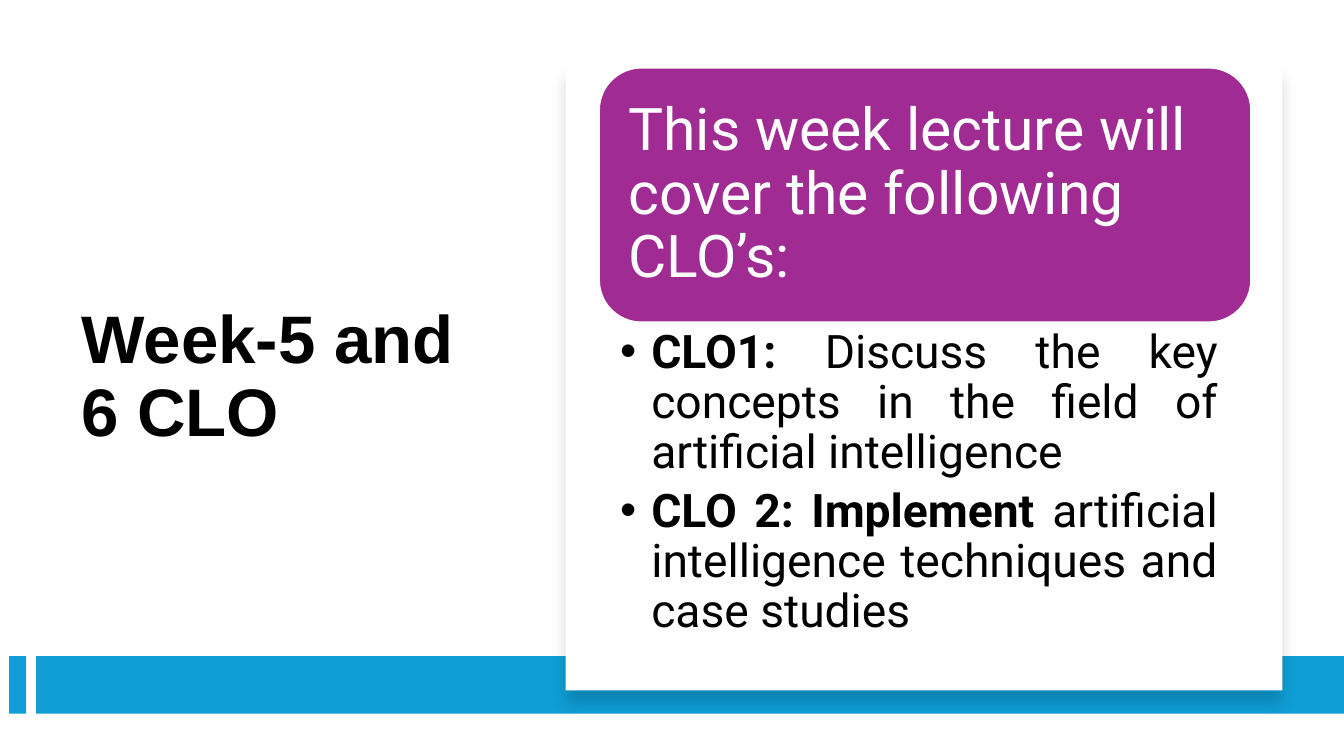
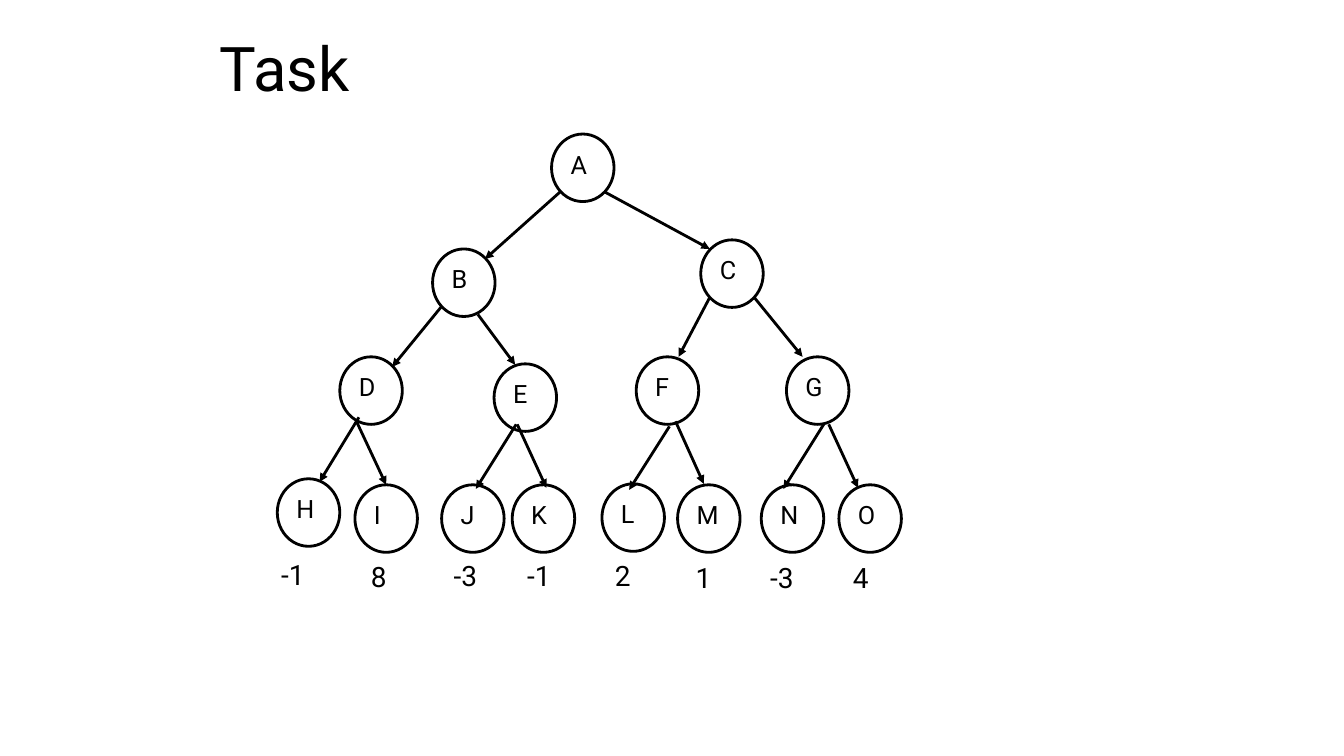
from lxml import etree
from pptx import Presentation
from pptx.dml.color import RGBColor
from pptx.enum.shapes import MSO_CONNECTOR, MSO_SHAPE
from pptx.enum.text import MSO_ANCHOR as Anchor, PP_ALIGN as Align
from pptx.oxml.ns import qn
from pptx.util import Inches, Pt

BLACK, WHITE, BLUE, PURPLE = "000000", "FFFFFF", "0F9ED5", "A02B93"
BODY_FONT, HEADING_FONT = "Roboto", "Arial"
INSETS = (0.1, 0.05, 0.1, 0.05)

# Content: each paragraph is a list of (text, bold) runs
CLO_TITLE = "Week-5 and 6 CLO"
CLO_INTRO = "This week lecture will cover the following CLO’s:"
CLO_ITEMS = [
    [("CLO1: ", True),
     ("Discuss the key concepts in the field of artificial intelligence", False)],
    [("CLO 2: Implement ", True),
     ("artificial intelligence techniques and case studies", False)],
]
TASK_TITLE = "Task"

# Tree: left and top of each node, then ends of each arrow
NODE_SIZE = (0.62, 0.67)
NODES = {
    "A": (5.47, 1.33), "B": (4.29, 2.47), "C": (6.95, 2.38),
    "D": (3.37, 3.54), "E": (4.9, 3.61), "F": (6.31, 3.54), "G": (7.8, 3.54),
    "H": (2.75, 4.75), "I": (3.52, 4.81), "J": (4.38, 4.81), "K": (5.08, 4.81),
    "L": (5.97, 4.8), "M": (6.72, 4.81), "N": (7.55, 4.81), "O": (8.32, 4.81),
}
ARROWS = {
    "AB": (5.56, 1.9, 4.81, 2.57), "AC": (5.99, 1.9, 7.04, 2.47),
    "BD": (4.38, 3.04, 3.89, 3.64), "BE": (4.74, 3.12, 5.11, 3.62),
    "CF": (7.04, 2.95, 6.73, 3.54), "CG": (7.48, 2.95, 7.96, 3.54),
    "DH": (3.56, 4.14, 3.17, 4.78), "DI": (3.54, 4.19, 3.83, 4.81),
    "EJ": (5.12, 4.21, 4.72, 4.85), "EK": (5.13, 4.21, 5.42, 4.84),
    "FL": (6.64, 4.23, 6.24, 4.86), "FM": (6.7, 4.18, 6.98, 4.8),
    "GN": (8.17, 4.21, 7.77, 4.85), "GO": (8.22, 4.21, 8.51, 4.84),
}
LEAF_VALUES = [
    ("-1", 2.69, 5.48), ("8", 3.58, 5.5), ("-3", 4.4, 5.49), ("-1", 5.13, 5.49),
    ("2", 6, 5.49), ("1", 6.8, 5.51), ("-3", 7.54, 5.51), ("4", 8.36, 5.51),
]


def color(value):
    return RGBColor.from_string(value)


def add_xml(parent, tag, **attributes):
    return etree.SubElement(parent, qn(tag), attributes)


def write(shape, paragraphs, size, font=BODY_FONT, ink=BLACK, bold=False,
          align=Align.LEFT, anchor=Anchor.TOP, insets=INSETS,
          line_spacing=None, gap=0, bullet_indent=None):
    """Fill a shape with a string or with paragraphs of (text, bold) runs."""
    if isinstance(paragraphs, str):
        paragraphs = [[(paragraphs, bold)]]
    frame = shape.text_frame
    frame.word_wrap = True
    frame.vertical_anchor = anchor
    (frame.margin_left, frame.margin_top,
     frame.margin_right, frame.margin_bottom) = map(Inches, insets)
    for index, runs in enumerate(paragraphs):
        paragraph = frame.add_paragraph() if index else frame.paragraphs[0]
        paragraph.alignment = align
        if line_spacing:
            paragraph.line_spacing = line_spacing
        if index:
            paragraph.space_before = Pt(gap)
        if bullet_indent:
            properties = paragraph._p.get_or_add_pPr()
            properties.set("marL", str(Inches(bullet_indent)))
            properties.set("indent", str(-Inches(bullet_indent)))
            add_xml(properties, "a:buFont", typeface=HEADING_FONT)
            add_xml(properties, "a:buChar", char="•")
        for text, is_bold in runs:
            run = paragraph.add_run()
            run.text = text
            run.font.size = Pt(size)
            run.font.name = font
            run.font.bold = is_bold
            run.font.color.rgb = color(ink)


def add_text(slide, box, paragraphs, **text_format):
    shape = slide.shapes.add_textbox(*map(Inches, box))
    write(shape, paragraphs, **text_format)
    return shape


def add_title(slide, box, text, **text_format):
    add_text(slide, box, text, anchor=Anchor.MIDDLE, line_spacing=0.9, **text_format)


def add_box(slide, kind, box, fill=None, line=None, width=1):
    shape = slide.shapes.add_shape(kind, *map(Inches, box))
    shape.shadow.inherit = False
    if fill:
        shape.fill.solid()
        shape.fill.fore_color.rgb = color(fill)
    else:
        shape.fill.background()
    if line:
        shape.line.color.rgb = color(line)
        shape.line.width = Pt(width)
    else:
        shape.line.fill.background()
    return shape


def add_drop_shadow(shape, opacity, blur, distance):
    effects = shape._element.spPr.find(qn("a:effectLst"))
    shadow = add_xml(effects, "a:outerShdw", blurRad=str(Pt(blur)),
                     dist=str(Pt(distance)), dir="5400000", algn="t",
                     rotWithShape="0")
    shade = add_xml(shadow, "a:srgbClr", val=BLACK)
    add_xml(shade, "a:alpha", val=str(opacity * 1000))


def add_arrow(slide, ends):
    arrow = slide.shapes.add_connector(MSO_CONNECTOR.STRAIGHT, *map(Inches, ends))
    arrow.line.color.rgb = color(BLACK)
    arrow.line.width = Pt(2)
    add_xml(arrow.line._get_or_add_ln(), "a:tailEnd", type="triangle")
    add_xml(arrow._element.spPr, "a:effectLst")


def build_clo_slide(slide):
    add_title(slide, (0.71, 1.2, 4.15, 5.1), CLO_TITLE,
              size=48, font=HEADING_FONT, bold=True)
    # Bottom band
    for left, width in ((0.09, 0.17), (0.36, 12.97)):
        add_box(slide, MSO_SHAPE.RECTANGLE, (left, 6.51, width, 0.57), fill=BLUE)
    # Card with heading and outcomes
    card = add_box(slide, MSO_SHAPE.RECTANGLE, (5.61, 0.64, 7.11, 6.21), fill=WHITE)
    add_drop_shadow(card, opacity=15, blur=11, distance=10)
    heading = add_box(slide, MSO_SHAPE.ROUNDED_RECTANGLE, (5.94, 0.67, 6.47, 2.53),
                      fill=PURPLE, line=WHITE, width=1.5)
    write(heading, CLO_INTRO, size=42, ink=WHITE, anchor=Anchor.MIDDLE,
          insets=(0.17, 0.17, 0.17, 0.17), line_spacing=0.9)
    add_text(slide, (5.94, 3.2, 6.47, 3.33), CLO_ITEMS, size=33,
             align=Align.JUSTIFY, insets=(0.21, 0.06, 0.33, 0.06),
             line_spacing=0.9, gap=6.6, bullet_indent=0.31)


def build_task_slide(slide):
    add_title(slide, (2.08, 0.25, 9.08, 0.92), TASK_TITLE, size=44)
    # Game tree
    for name, corner in NODES.items():
        node = add_box(slide, MSO_SHAPE.OVAL, corner + NODE_SIZE, line=BLACK, width=2)
        write(node, name, size=18)
    for ends in ARROWS.values():
        add_arrow(slide, ends)
    for value, left, top in LEAF_VALUES:
        add_text(slide, (left, top, 0.48, 0.44), value, size=20)


def main():
    presentation = Presentation()
    presentation.slide_width = Inches(13.33)
    presentation.slide_height = Inches(7.5)
    for build in (build_clo_slide, build_task_slide):
        build(presentation.slides.add_slide(presentation.slide_layouts[6]))
    presentation.save("out.pptx")


if __name__ == "__main__":
    main()
